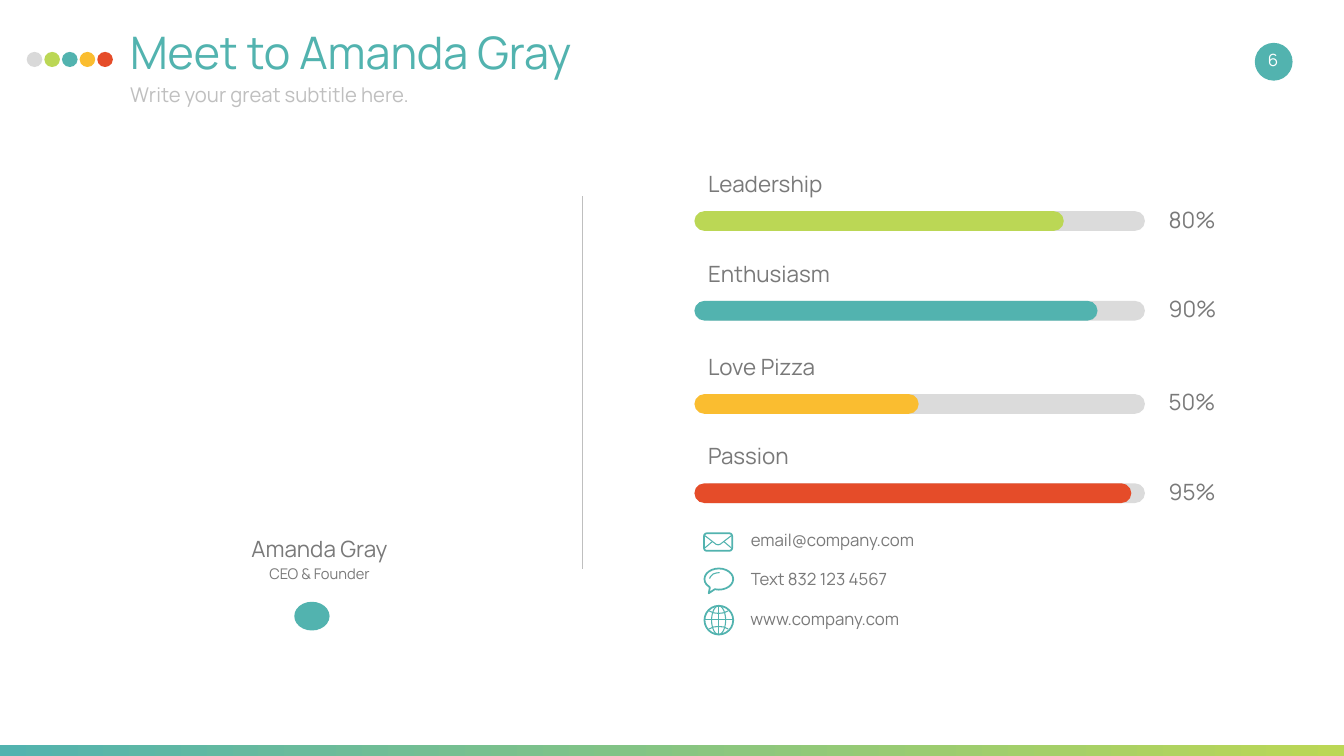
"""Builds a profile slide with skill bars and contact details."""
from typing import NamedTuple

from lxml import etree
from pptx import Presentation
from pptx import util as u
from pptx.dml.color import RGBColor
from pptx.enum import shapes, text
from pptx.oxml.ns import qn

PX = 9144
FONT = "Manrope"
TEAL, LIME, AMBER, RED = "52B3AF", "BBD755", "FABD30", "E54C29"
GRAY, TRACK, DOT, RULE, WHITE = "797979", "DBDBDB", "D9D9D9", "BFBFBF", "FFFFFF"
OVAL = shapes.MSO_SHAPE.OVAL
PILL = shapes.MSO_SHAPE.ROUNDED_RECTANGLE
LEFT, CENTER = text.PP_ALIGN.LEFT, text.PP_ALIGN.CENTER
THICK, THIN = 2.5, 1.5


class Box(NamedTuple):
    left: int
    top: int
    width: int
    height: int

    def emu(self) -> list:
        return [u.Emu(side * PX) for side in self]


class Skill(NamedTuple):
    label: str
    percent: str
    top: int
    filled: int
    color: str


class Contact(NamedTuple):
    label: str
    box: Box


SKILLS = [
    Skill("Leadership", "80%", 419, 733, LIME),
    Skill("Enthusiasm", "90%", 597, 800, TEAL),
    Skill("Love Pizza", "50%", 782, 445, AMBER),
    Skill("Passion", "95%", 959, 867, RED),
]
CONTACTS = [
    Contact("email@company.com", Box(1463, 1038, 893, 81)),
    Contact("Text 832 123 4567", Box(1463, 1115, 893, 81)),
    Contact("www.company.com", Box(1462, 1195, 893, 73)),
]


def rgb(color: str) -> RGBColor:
    return RGBColor.from_string(color)


def add_solid(slide, kind, box: Box, color: str):
    shape = slide.shapes.add_shape(kind, *box.emu())
    shape.shadow.inherit = False
    shape.fill.solid()
    shape.fill.fore_color.rgb = rgb(color)
    shape.line.fill.background()
    return shape


def set_outline(shape, weight: float) -> None:
    shape.shadow.inherit = False
    shape.fill.background()
    shape.line.color.rgb = rgb(TEAL)
    shape.line.width = u.Pt(weight)


def add_outline(slide, kind, box: Box, weight: float):
    shape = slide.shapes.add_shape(kind, *box.emu())
    set_outline(shape, weight)
    return shape


def add_stroke(slide, points: list, weight: float) -> None:
    builder = slide.shapes.build_freeform(*points[0], scale=PX)
    builder.add_line_segments(points[1:], close=False)
    set_outline(builder.convert_to_shape(), weight)


def add_line(slide, start: tuple, end: tuple, color: str, weight: float) -> None:
    ends = [u.Emu(value * PX) for value in (*start, *end)]
    line = slide.shapes.add_connector(shapes.MSO_CONNECTOR.STRAIGHT, *ends)
    line.line.color.rgb = rgb(color)
    line.line.width = u.Pt(weight)
    etree.SubElement(line._element.spPr, qn("a:effectLst"))


def add_text(slide, words: str, box: Box, size: int, color: str = GRAY,
             align=LEFT, anchor=text.MSO_ANCHOR.TOP, inset: tuple = (27, 13)) -> None:
    frame = slide.shapes.add_textbox(*box.emu()).text_frame
    frame.word_wrap = True
    frame.vertical_anchor = anchor
    frame.margin_left = frame.margin_right = u.Emu(inset[0] * PX)
    frame.margin_top = frame.margin_bottom = u.Emu(inset[1] * PX)
    paragraph = frame.paragraphs[0]
    paragraph.alignment = align
    run = paragraph.add_run()
    run.text = words
    run.font.name = FONT
    run.font.size = u.Pt(size)
    run.font.color.rgb = rgb(color)


def draw_header(slide) -> None:
    band = add_solid(slide, shapes.MSO_SHAPE.RECTANGLE, Box(0, 1479, 2667, 21), TEAL)
    band.fill.gradient()
    band.fill.gradient_angle = 0
    for stop, color in zip(band.fill.gradient_stops, (TEAL, LIME)):
        stop.color.rgb = rgb(color)
    for index, color in enumerate((DOT, LIME, TEAL, AMBER, RED)):
        add_solid(slide, OVAL, Box(53 + 35 * index, 103, 31, 30), color)
    add_solid(slide, OVAL, Box(2490, 85, 75, 75), TEAL)
    add_text(slide, "Meet to Amanda Gray", Box(231, 37, 2125, 160), 64, TEAL)
    add_text(slide, "Write your great subtitle here.", Box(231, 150, 2125, 85), 29, RULE)
    add_text(slide, "6", Box(2468, 78, 117, 80), 24, WHITE, CENTER,
             text.MSO_ANCHOR.MIDDLE)


def draw_profile(slide) -> None:
    add_text(slide, "Amanda Gray", Box(445, 1057, 378, 64), 32, align=CENTER, inset=(10, 5))
    add_text(slide, "CEO & Founder", Box(445, 1115, 378, 45), 21, align=CENTER, inset=(10, 5))
    add_solid(slide, OVAL, Box(584, 1194, 70, 57), TEAL)
    add_line(slide, (1156, 1128), (1156, 389), RULE, 0.25)


def draw_skill(slide, skill: Skill) -> None:
    for left, width, color in ((1390, 882, TRACK), (1378, skill.filled, skill.color)):
        bar = add_solid(slide, PILL, Box(left, skill.top, width, 39), color)
        bar.adjustments[0] = 0.5
    add_text(slide, skill.label, Box(1378, skill.top - 94, 893, 81), 32)
    add_text(slide, skill.percent, Box(2292, skill.top - 24, 166, 81), 32)


def draw_envelope(slide) -> None:
    add_outline(slide, PILL, Box(1397, 1058, 56, 35), THICK)
    add_stroke(slide, [(1399, 1063), (1421, 1080), (1425, 1081), (1429, 1080),
                       (1451, 1063)], THIN)
    for edge, fold in ((1399, 1413), (1451, 1437)):
        add_line(slide, (edge, 1087), (fold, 1075), TEAL, THIN)


def draw_bubble(slide) -> None:
    bubble = add_outline(slide, shapes.MSO_SHAPE.OVAL_CALLOUT,
                         Box(1398, 1128, 57, 42), THICK)
    bubble.adjustments[0] = -0.35
    bubble.adjustments[1] = 0.67
    add_stroke(slide, [(1408, 1148), (1410, 1144), (1415, 1139), (1421, 1137),
                       (1428, 1136)], THIN)


def draw_globe(slide) -> None:
    middle_x, middle_y = 1426, 1230
    add_outline(slide, OVAL, Box(1398, 1202, 57, 57), THICK)
    add_outline(slide, OVAL, Box(1412, 1202, 28, 57), THIN)
    add_line(slide, (middle_x, 1202), (middle_x, 1259), TEAL, THIN)
    add_line(slide, (1398, middle_y), (1455, middle_y), TEAL, THIN)
    for side in (-1, 1):
        add_stroke(slide, [(middle_x + across, middle_y + side * down) for across, down in
                           ((-19, 18), (-10, 14), (0, 13), (10, 14), (19, 18))], THIN)


def main() -> None:
    deck = Presentation()
    deck.slide_width, deck.slide_height = u.Emu(2667 * PX), u.Emu(1500 * PX)
    slide = deck.slides.add_slide(deck.slide_layouts[6])
    draw_header(slide)
    draw_profile(slide)
    for skill in SKILLS:
        draw_skill(slide, skill)
    for draw_icon in (draw_envelope, draw_bubble, draw_globe):
        draw_icon(slide)
    for contact in CONTACTS:
        add_text(slide, contact.label, contact.box, 24)
    deck.save("out.pptx")


if __name__ == "__main__":
    main()
